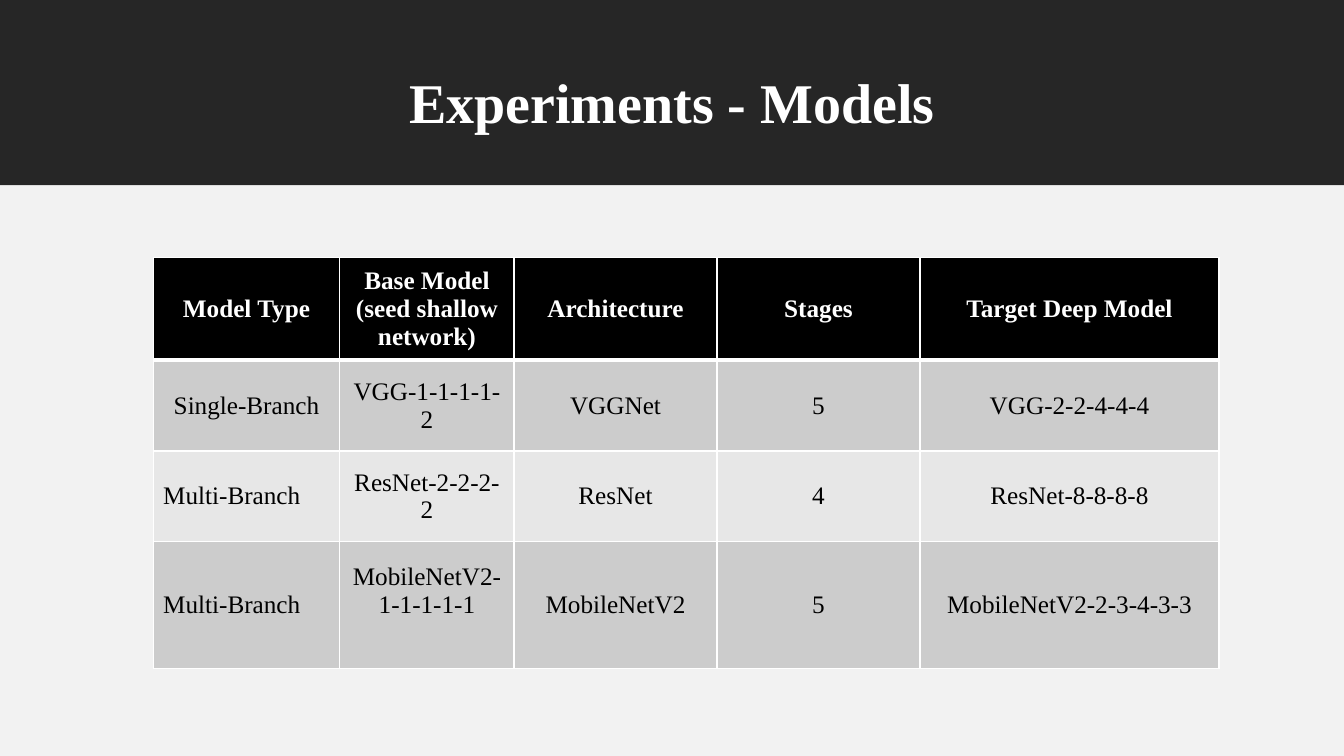
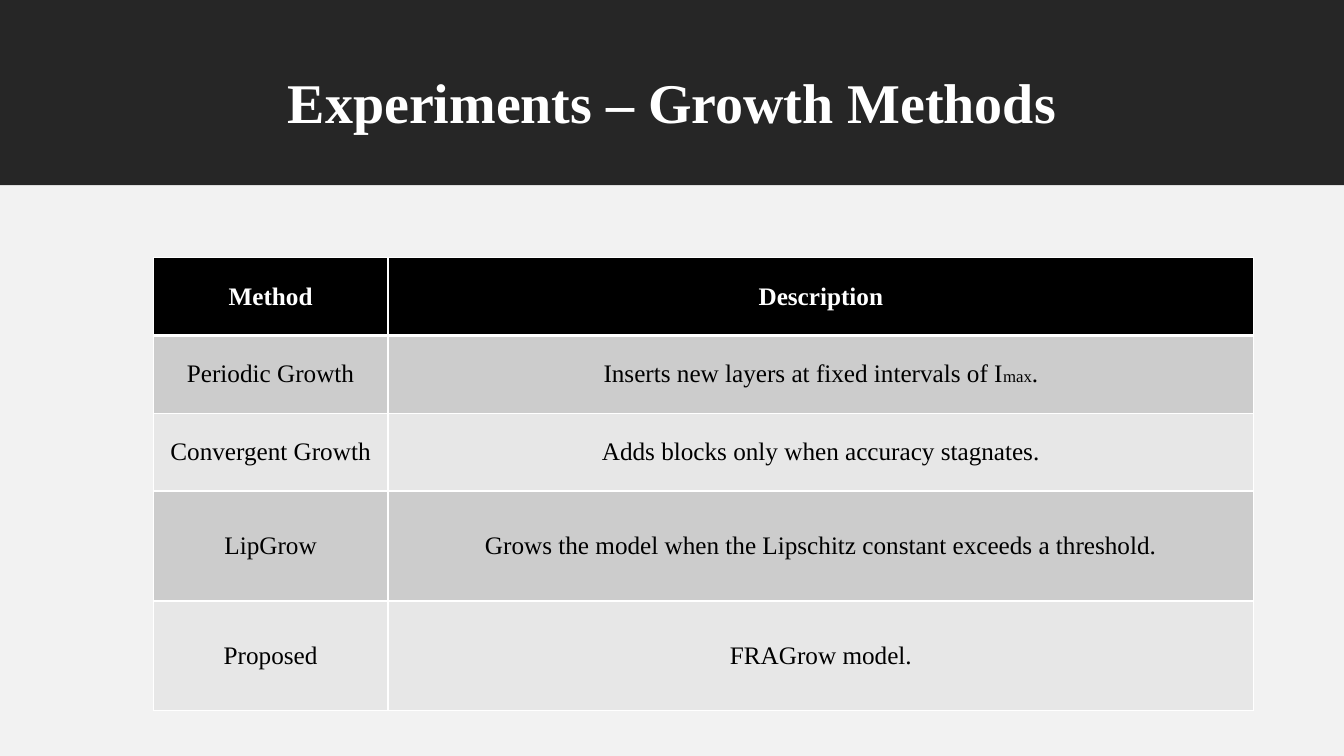
from dataclasses import dataclass

from lxml import etree
from pptx import Presentation
from pptx.dml.color import RGBColor
from pptx.enum.shapes import MSO_SHAPE
from pptx.enum.text import MSO_ANCHOR, PP_ALIGN
from pptx.oxml.ns import qn
from pptx.util import Pt

LEFT, CENTER = PP_ALIGN.LEFT, PP_ALIGN.CENTER
TOP, MIDDLE = MSO_ANCHOR.TOP, MSO_ANCHOR.MIDDLE
RECT = MSO_SHAPE.RECTANGLE

FONT = "Times New Roman"
COLORS = {
    "band": "262626", "body": "F2F2F2", "white": "FFFFFF",
    "black": "000000", "odd": "CCCCCC", "even": "E7E7E7",
}
WIDE, HIGH, BAND = 960, 540, 132.5
TABLE_LEFT, TABLE_TOP = 109.4, 184


@dataclass(frozen=True)
class Run:
    text: str
    size: float = 18


@dataclass(frozen=True)
class Cell:
    runs: tuple[Run, ...]
    align: int = CENTER
    pad: tuple[float, float] = (8.6, 4.3)
    lift: float = 0  # extra bottom inset


@dataclass(frozen=True)
class Page:
    title: str
    cols: list[float]
    rows: list[float]
    cells: list[list[Cell]]


def cell(*texts, **style) -> Cell:
    runs = tuple(t if isinstance(t, Run) else Run(t) for t in texts)
    return Cell(runs, **style)


def color(name: str) -> RGBColor:
    return RGBColor.from_string(COLORS[name])


def write(frame, runs, *, tint="black", bold=False, align=CENTER,
          anchor=MIDDLE, space=None) -> None:
    frame.word_wrap = True
    frame.vertical_anchor = anchor
    para = frame.paragraphs[0]
    para.alignment = align
    para.line_spacing = space
    for item in runs:
        run = para.add_run()
        run.text = item.text
        font = run.font
        font.name, font.size, font.bold = FONT, Pt(item.size), bold
        font.color.rgb = color(tint)


def block(slide, top: float, height: float, fill: str) -> None:
    shape = slide.shapes.add_shape(RECT, 0, Pt(top), Pt(WIDE), Pt(height))
    shape.shadow.inherit = False
    shape.fill.solid()
    shape.fill.fore_color.rgb = color(fill)
    shape.line.fill.background()


def border(box, widths: dict[str, float]) -> None:
    # Border lines come before the fill in the cell properties
    props = box._tc.get_or_add_tcPr()
    for spot, (side, width) in enumerate(widths.items()):
        line = etree.Element(qn(f"a:ln{side}"), w=str(Pt(width)))
        fill = etree.SubElement(line, qn("a:solidFill"))
        etree.SubElement(fill, qn("a:srgbClr"), val=COLORS["white"])
        props.insert(spot, line)


def grid(slide, page: Page) -> None:
    frame = slide.shapes.add_table(
        len(page.rows), len(page.cols), Pt(TABLE_LEFT), Pt(TABLE_TOP),
        Pt(sum(page.cols)), Pt(sum(page.rows)))
    table = frame.table
    table.horz_banding = False
    for col, width in zip(table.columns, page.cols):
        col.width = Pt(width)
    for row, height in zip(table.rows, page.rows):
        row.height = Pt(height)
    for r, line in enumerate(page.cells):
        head = r == 0
        fill = "black" if head else "odd" if r % 2 else "even"
        for c, item in enumerate(line):
            box = table.cell(r, c)
            box.fill.solid()
            box.fill.fore_color.rgb = color(fill)
            side, edge = item.pad
            box.margin_left = box.margin_right = Pt(side)
            box.margin_top = Pt(edge)
            box.margin_bottom = Pt(edge + item.lift)
            write(box.text_frame, item.runs, bold=head, align=item.align,
                  tint="white" if head else "black")
            box.vertical_anchor = MIDDLE
            border(box, {"L": 1, "R": 1, "T": 3 if r == 1 else 1,
                         "B": 3 if head else 1})


def draw(deck, page: Page) -> None:
    slide = deck.slides.add_slide(deck.slide_layouts[6])
    block(slide, 0, BAND, "band")
    block(slide, BAND, HIGH - BAND, "body")
    title = slide.shapes.add_textbox(Pt(91), Pt(50.4), Pt(778), Pt(70.6))
    write(title.text_frame, [Run(page.title, 40)], tint="white", bold=True,
          anchor=TOP, space=0.9)
    grid(slide, page)


# Models
TIGHT = (7.2, 3.6)
MULTI = cell("Multi-Branch", align=LEFT, pad=TIGHT)
MODELS = Page(
    "Experiments - Models",
    [133.4, 124.4, 145, 145, 213.6], [68, 64.8, 64.8, 90.6],
    [
        [cell(t) for t in ("Model Type", "Base Model (seed shallow network)",
                           "Architecture", "Stages", "Target Deep Model")],
        [cell(t) for t in ("Single-Branch", "VGG-1-1-1-1-2", "VGGNet", "5",
                           "VGG-2-2-4-4-4")],
        [MULTI] + [cell(t) for t in ("ResNet-2-2-2-2", "ResNet", "4",
                                     "ResNet-8-8-8-8")],
        [MULTI, cell("MobileNetV2-1-1-1-1-1", lift=20)]
        + [cell(t) for t in ("MobileNetV2", "5", "MobileNetV2-2-3-4-3-3")],
    ])

# Growth methods
GROWTH = Page(
    "Experiments – Growth Methods",
    [167.8, 618.4], [55.6, 55.6, 55.6, 78.5, 78.5],
    [[cell("Method"), cell("Description")]] + [
        [cell(name, pad=TIGHT), cell(*texts, pad=TIGHT)]
        for name, *texts in (
            ("Periodic Growth", "Inserts new layers at fixed intervals of I",
             Run("max", 12), "."),
            ("Convergent Growth", "Adds blocks only when accuracy stagnates."),
            ("LipGrow", "Grows the model when the Lipschitz constant "
                        "exceeds a threshold."),
            ("Proposed", "FRAGrow model."),
        )
    ])


def main() -> None:
    deck = Presentation()
    deck.slide_width, deck.slide_height = Pt(WIDE), Pt(HIGH)
    for page in (MODELS, GROWTH):
        draw(deck, page)
    deck.save("out.pptx")


if __name__ == "__main__":
    main()
